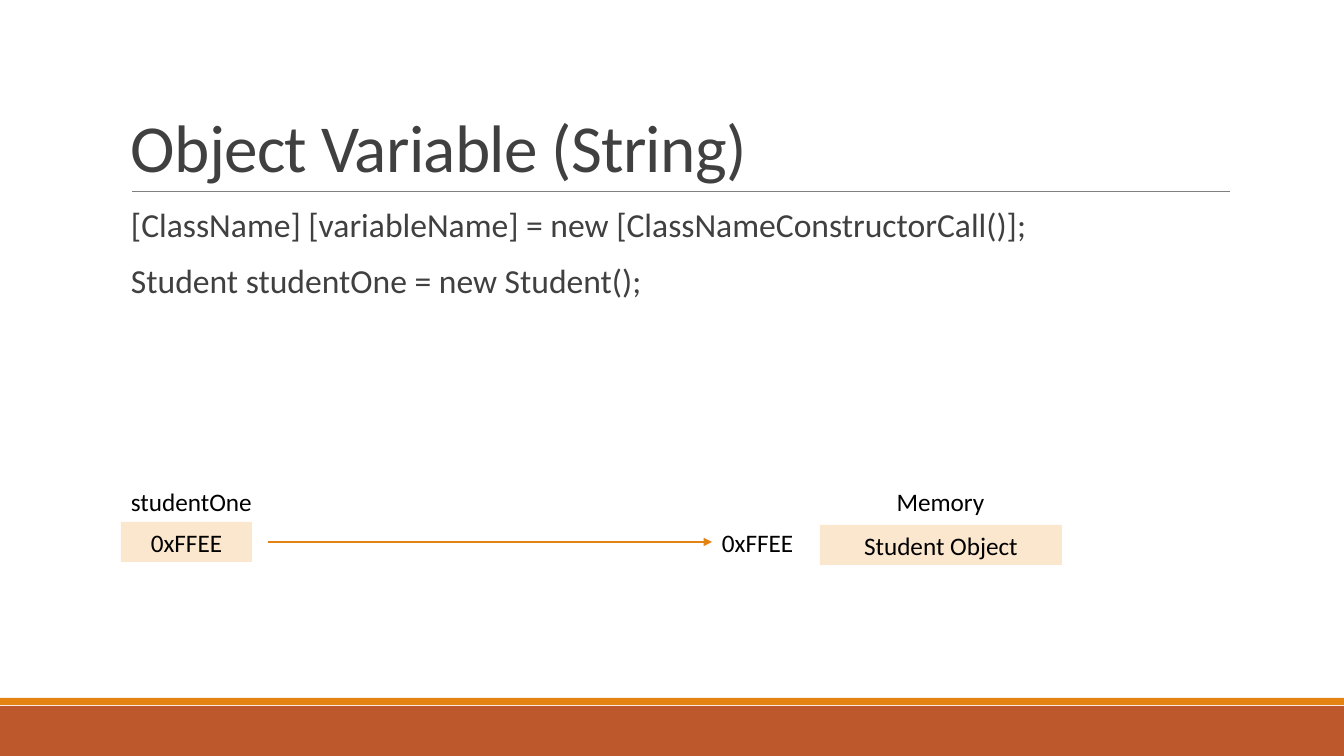
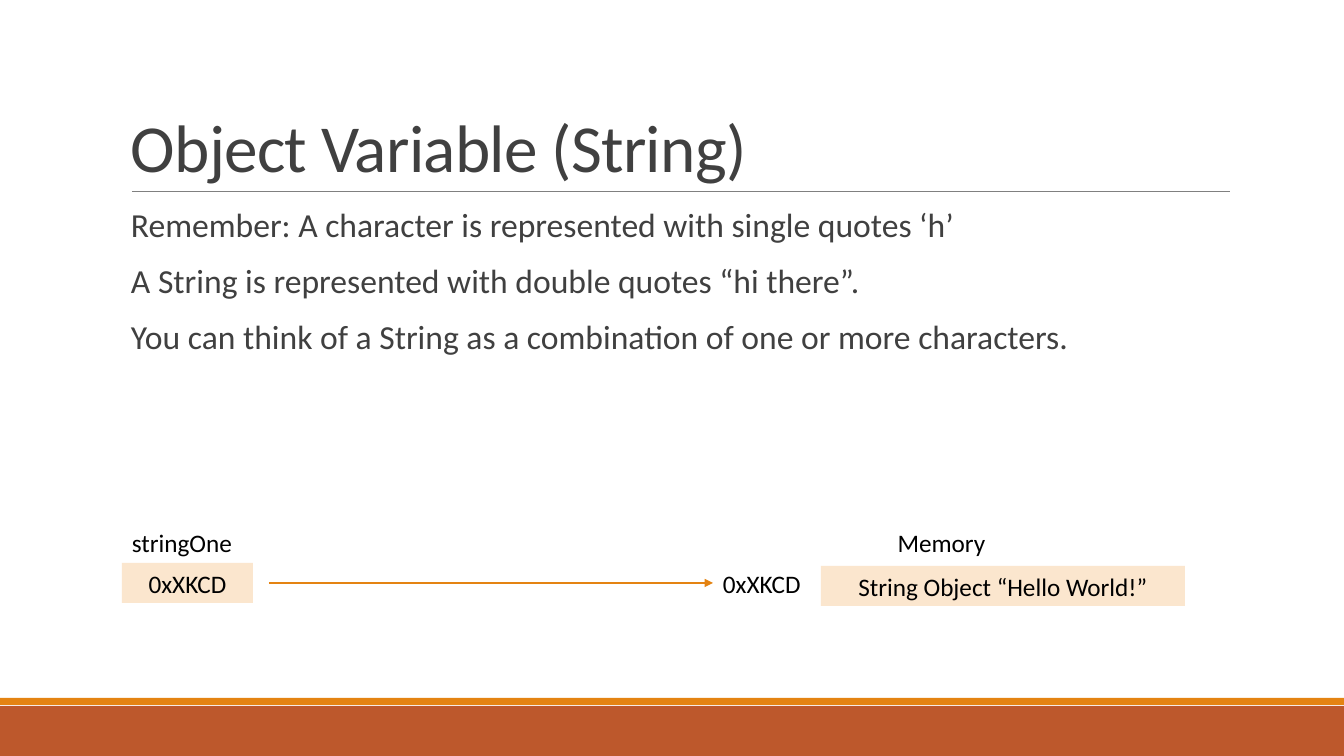
from pptx import Presentation
from pptx.dml.color import RGBColor
from pptx.enum.shapes import MSO_CONNECTOR, MSO_SHAPE
from pptx.enum.text import MSO_ANCHOR, PP_ALIGN
from pptx.oxml.ns import qn
from pptx.util import Pt
from lxml.etree import SubElement

PIXEL = 914400 / 100.8
FONT = "Calibri"
DARK, BLACK, GRAY = "404040", "000000", "808080"
ORANGE, RUST, CREAM = "E48312", "BD582C", "FBE6CE"
TITLE = "Object Variable (String)"

# Content: diagram origin, variable, address, stored object, object box width
SLIDES = [
    dict(
        lines=["[ClassName] [variableName] = new [ClassNameConstructorCall()];",
               "Student studentOne = new Student();"],
        origin=(121, 481), variable="studentOne", address="0xFFEE",
        stored="Student Object", stored_width=242),
    dict(
        lines=["Remember: A character is represented with single quotes ‘h’",
               "A String is represented with double quotes “hi there”.",
               "You can think of a String as a combination of one or more characters."],
        origin=(122, 522), variable="stringOne", address="0xXKCD",
        stored="String Object “Hello World!”", stored_width=364),
]


def add_box(slide, left, top, width, height, lines=(), size=18, color=BLACK,
            align=PP_ALIGN.LEFT, fill=None):
    place = [round(value * PIXEL) for value in (left, top, width, height)]
    if fill:
        shape = slide.shapes.add_shape(MSO_SHAPE.RECTANGLE, *place)
        shape.shadow.inherit = False
        shape.fill.solid()
        shape.fill.fore_color.rgb = RGBColor.from_string(fill)
        shape.line.fill.background()
    else:
        shape = slide.shapes.add_textbox(*place)
    frame = shape.text_frame
    frame.word_wrap = True
    if lines:
        frame.text = "\n".join(lines)
        for paragraph in frame.paragraphs:
            paragraph.alignment = align
            paragraph.font.name = FONT
            paragraph.font.size = Pt(size)
            paragraph.font.color.rgb = RGBColor.from_string(color)
    return frame


def add_line(slide, left, right, y, color, width, arrow=False):
    start, end, level = [round(value * PIXEL) for value in (left, right, y)]
    line = slide.shapes.add_connector(MSO_CONNECTOR.STRAIGHT, start, level, end, level)
    line.line.color.rgb = RGBColor.from_string(color)
    line.line.width = Pt(width)
    if arrow:
        SubElement(line.line._get_or_add_ln(), qn("a:tailEnd"), type="triangle")
    SubElement(line._element.spPr, qn("a:effectLst"))


presentation = Presentation()
presentation.slide_width = round(1344 * PIXEL)
presentation.slide_height = round(756 * PIXEL)

for content in SLIDES:
    slide = presentation.slides.add_slide(presentation.slide_layouts[6])

    # Bottom bands and title rule
    add_box(slide, 0, 706, 1344, 50, fill=RUST)
    add_box(slide, 0, 698, 1344, 7, fill=ORANGE)
    add_line(slide, 132, 1230, 191, GRAY, 0.5)

    # Title
    title = add_box(slide, 121, 31, 1109, 160, [TITLE], 48, DARK)
    title.vertical_anchor = MSO_ANCHOR.BOTTOM
    title.paragraphs[0].line_spacing = 0.85
    title.paragraphs[0].runs[0]._r.get_or_add_rPr().set("spc", "-50")

    # Body
    body = add_box(slide, 121, 204, 1109, 160, content["lines"], 24, DARK)
    body.margin_left = round(10 * PIXEL)
    body.margin_right = 0
    for paragraph in body.paragraphs:
        paragraph.line_spacing = 0.9
        paragraph.space_before = Pt(12)
        paragraph.space_after = Pt(2)

    # Reference diagram: variable, arrow, memory
    x, y = content["origin"]
    address = [content["address"]]
    add_box(slide, x, y, 217, 40, [content["variable"]])
    add_line(slide, x + 147, x + 591, y + 61, ORANGE, 1, arrow=True)
    add_box(slide, x + 591, y + 41, 217, 40, address)
    add_box(slide, x + 699, y + 44, content["stored_width"], 40, [content["stored"]],
            align=PP_ALIGN.CENTER, fill=CREAM)
    add_box(slide, x, y + 41, 131, 40, address, align=PP_ALIGN.CENTER, fill=CREAM)
    add_box(slide, x + 711, y, 217, 40, ["Memory"], align=PP_ALIGN.CENTER)

presentation.save("out.pptx")
